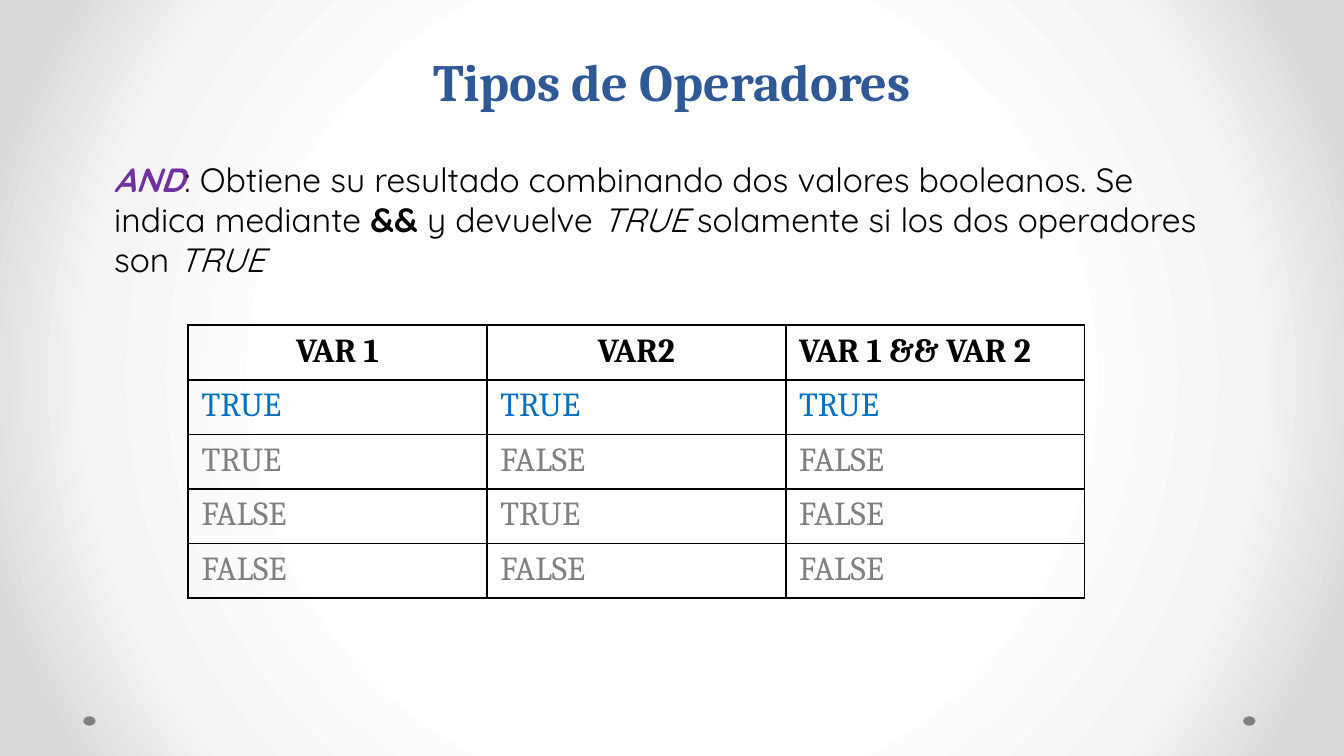
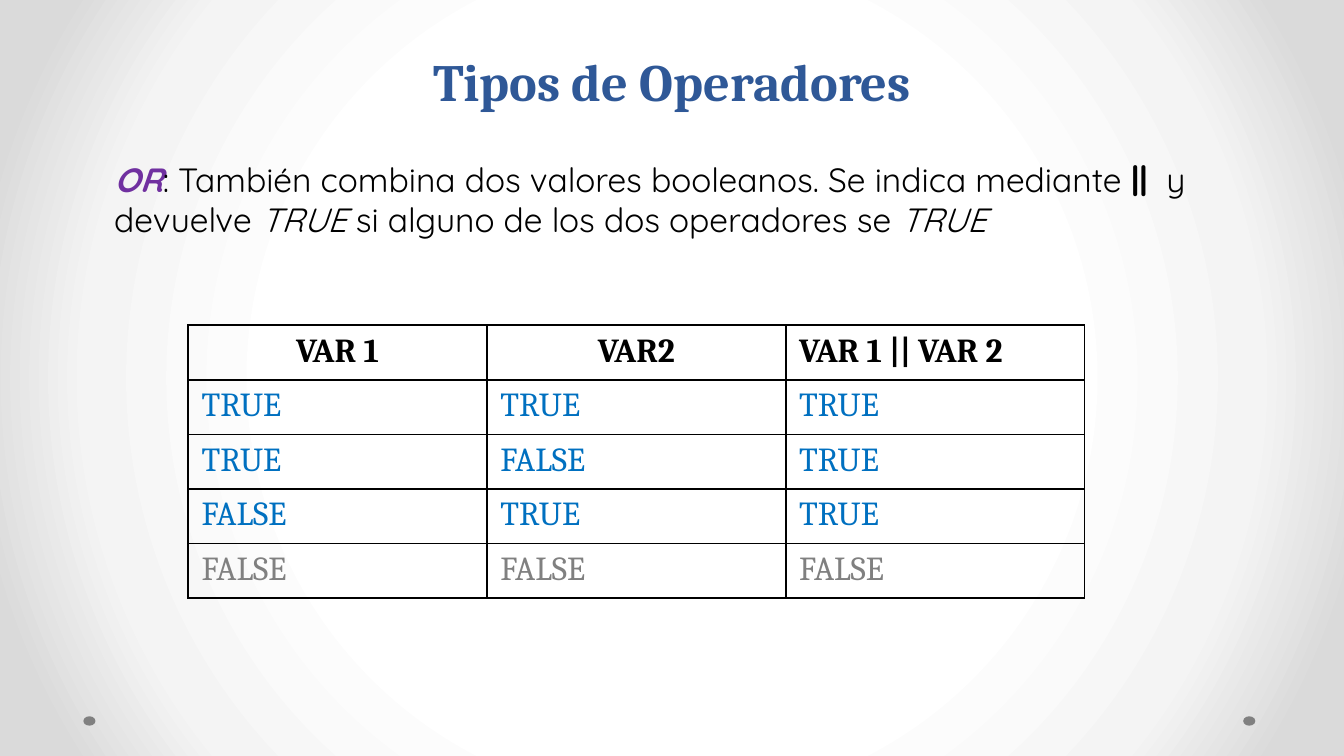
"""Build two slides on the boolean operators AND and OR with their truth tables."""
from pptx import Presentation
from pptx.dml.color import RGBColor
from pptx.enum.shapes import MSO_SHAPE
from pptx.enum.text import MSO_ANCHOR, MSO_AUTO_SIZE, PP_ALIGN
from pptx.oxml import parse_xml
from pptx.oxml.ns import nsdecls, qn
from pptx.util import Inches, Pt

COLORS = {
    "title": "2F5897", "operator": "7030A0", "text": "000000",
    "true": "0070C0", "false": "808080", "dot": "808080",
}
BACKGROUND_STOPS = [(50, "FFFFFF"), (76, "F4F4F4"), (92, "DADADA")]
HEADING_FONT, BODY_FONT = "Cambria", "Quicksand"
TABLE_WIDTH, TABLE_HEIGHT = 6.67, 2.03
OPERANDS = [("TRUE", "TRUE"), ("TRUE", "FALSE"), ("FALSE", "TRUE"), ("FALSE", "FALSE")]

SLIDES = [
    {
        "symbol": "&&",
        "results": ["TRUE", "FALSE", "FALSE", "FALSE"],
        "text": [
            ("AND", "operator", True, True),
            (": Obtiene su resultado combinando dos valores booleanos. Se indica mediante ",
             "text", False, False),
            ("&&", "text", True, False),
            (" y devuelve ", "text", False, False),
            ("TRUE ", "text", False, True),
            ("solamente si los dos operadores son ", "text", False, False),
            ("TRUE", "text", False, True),
        ],
    },
    {
        "symbol": "||",
        "results": ["TRUE", "TRUE", "TRUE", "FALSE"],
        "text": [
            ("OR", "operator", True, True),
            (": También combina dos valores booleanos. Se indica mediante ",
             "text", False, False),
            ("|| ", "text", True, False),
            (" y devuelve ", "text", False, False),
            ("TRUE ", "text", False, True),
            ("si alguno de los dos operadores se ", "text", False, False),
            ("TRUE", "text", False, True),
        ],
    },
]


def add_span(para, text, font, size, color, bold=False, italic=False):
    span = para.add_run()
    span.text = text
    span.font.name = font
    span.font.size = Pt(size)
    span.font.bold = bold
    span.font.italic = italic
    span.font.color.rgb = RGBColor.from_string(COLORS[color])


def prepare_frame(box, anchor):
    frame = box.text_frame
    frame.word_wrap = True
    frame.auto_size = MSO_AUTO_SIZE.NONE
    frame.vertical_anchor = anchor
    frame.margin_left = frame.margin_right = Inches(0.1)
    frame.margin_top = frame.margin_bottom = Inches(0.1)
    para = frame.paragraphs[0]
    para.space_before = Pt(0)
    para.line_spacing = 1.0
    return para


deck = Presentation()
deck.slide_width = Inches(10)
deck.slide_height = Inches(10) * 9 // 16
master = deck.slide_master
layout = deck.slide_layouts[1]

stops = "".join(
    f'<a:gs pos="{position * 1000}"><a:srgbClr val="{color}"/></a:gs>'
    for position, color in BACKGROUND_STOPS
)
background = parse_xml(
    f'<p:bg {nsdecls("p", "a")}><p:bgPr><a:gradFill rotWithShape="1">'
    f'<a:gsLst>{stops}</a:gsLst><a:path path="circle">'
    '<a:fillToRect l="50000" t="50000" r="50000" b="50000"/></a:path>'
    '</a:gradFill><a:effectLst/></p:bgPr></p:bg>'
)
tree = master.element.cSld
for old_background in tree.findall(qn("p:bg")):
    tree.remove(old_background)
tree.insert(0, background)

places = {0: (1.93, 0.14, 6.14, 0.79), 1: (0.75, 1.08, 8.5, 4.33)}
for holder in list(layout.placeholders):
    index = holder.placeholder_format.idx
    if index in places:
        holder.left, holder.top, holder.width, holder.height = map(Inches, places[index])
    else:
        holder.element.getparent().remove(holder.element)

pages = [deck.slides.add_slide(layout) for content in SLIDES]

for number, left in enumerate((9.25, 0.62)):
    dot = pages[0].shapes.add_shape(
        MSO_SHAPE.OVAL, Inches(left), Inches(5.33), Inches(0.09), Inches(0.07))
    dot.shadow.inherit = False
    dot.fill.solid()
    dot.fill.fore_color.rgb = RGBColor.from_string(COLORS["dot"])
    dot.line.fill.background()
    dot.element.nvSpPr.cNvPr.set("id", str(20 + number))
    layout.element.cSld.spTree.append(dot.element)

for page, content in zip(pages, SLIDES):
    para = prepare_frame(page.shapes.title, MSO_ANCHOR.BOTTOM)
    para.alignment = PP_ALIGN.CENTER
    add_span(para, "Tipos de Operadores", HEADING_FONT, 28, "title", bold=True)

    para = prepare_frame(page.placeholders[1], MSO_ANCHOR.TOP)
    properties = para._p.get_or_add_pPr()
    properties.set("marL", "0")
    properties.set("indent", "0")
    properties.append(parse_xml(f'<a:buNone {nsdecls("a")}/>'))
    for text, color, bold, italic in content["text"]:
        add_span(para, text, BODY_FONT, 18, color, bold, italic)

    rows = [("VAR 1", "VAR2", f"VAR 1 {content['symbol']} VAR 2")]
    rows += [(*pair, result) for pair, result in zip(OPERANDS, content["results"])]
    table = page.shapes.add_table(
        len(rows), 3, Inches(1.4), Inches(2.42),
        Inches(TABLE_WIDTH), Inches(TABLE_HEIGHT)).table
    table.first_row = table.horz_banding = False
    for row_number, values in enumerate(rows):
        header = row_number == 0
        color = "text" if header else values[2].lower()
        for column_number, value in enumerate(values):
            cell = table.cell(row_number, column_number)
            cell.fill.background()
            para = cell.text_frame.paragraphs[0]
            centered = header and column_number < 2
            para.alignment = PP_ALIGN.CENTER if centered else PP_ALIGN.LEFT
            add_span(para, value, HEADING_FONT, 18, color, bold=header)
            cell_properties = cell._tc.get_or_add_tcPr()
            for order, side in enumerate(("lnL", "lnR", "lnT", "lnB")):
                cell_properties.insert(order, parse_xml(
                    f'<a:{side} {nsdecls("a")} w="12700"><a:solidFill>'
                    f'<a:srgbClr val="{COLORS["text"]}"/></a:solidFill></a:{side}>'))

deck.save("out.pptx")
